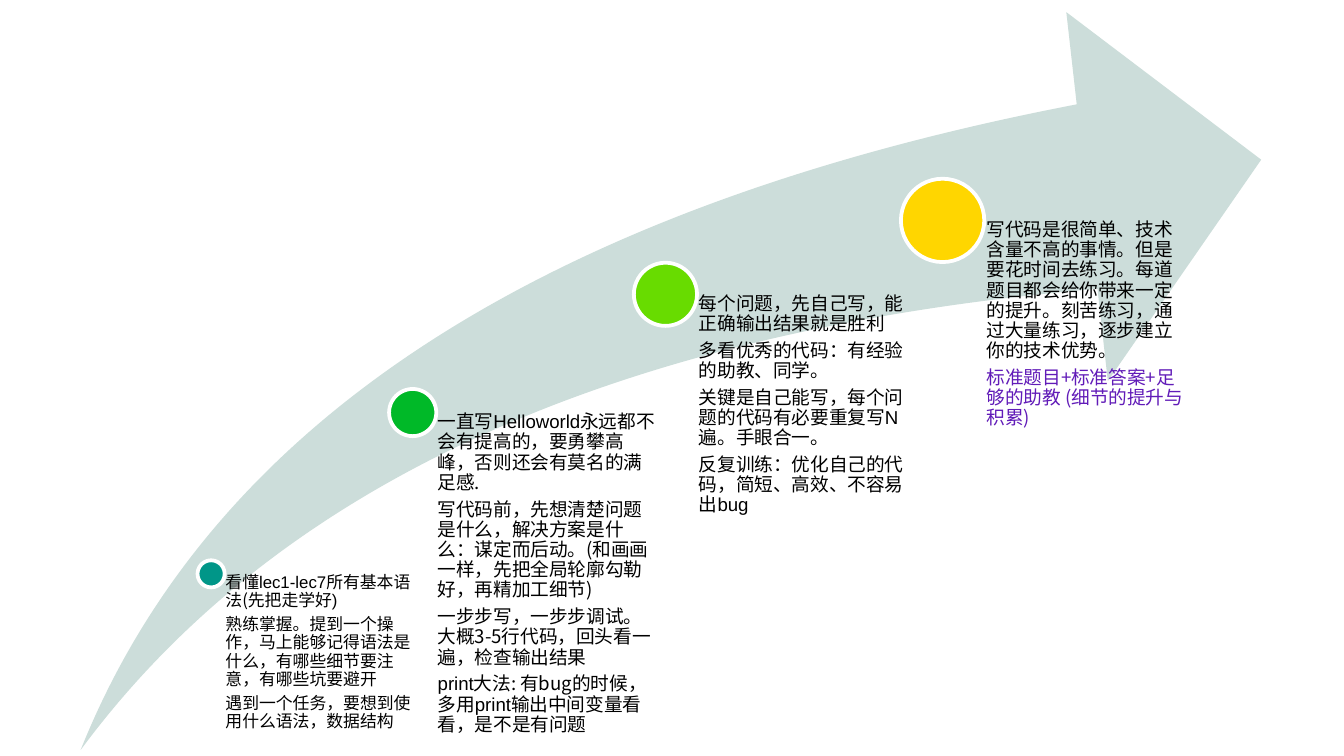
import pptx
import pptx.util
import pptx.dml.color
import pptx.enum.shapes
import pptx.enum.text
import pptx.oxml
import pptx.oxml.ns

THEME = {
    "arrow": "CCDDDA", "ring": "FFFFFF", "body": "000000", "accent": "611BB8",
    "latin": "Arial", "cjk": "Noto Sans CJK SC",
    "small": 9, "normal": 10, "ring_width": 2, "leading": 0.9, "gap": 0.35,
}
SLIDE = (10, 10 * 9 / 16)
ARROW = (0.6, 0.09, 5.49 * 1.6, 5.49)

STAGES = [
    {"centre": (11.05, 76.14), "dot": 2.3, "column": 17.08, "colour": "009688", "size": "small",
     "points": [
         ("body", [("cjk", "看懂"), ("latin", "lec1-lec7"),
                   ("cjk", "所有基本语法(先把走学好"), ("latin", ")")]),
         ("body", [("cjk", "熟练掌握。提到一个操作，马上能够记得语法是什么，有哪些细节要注意，有哪些坑要避开")]),
         ("body", [("cjk", "遇到一个任务，要想到使用什么语法，数据结构")]),
     ]},
    {"centre": (28.13, 54.28), "dot": 4, "column": 20.96, "colour": "00B928", "size": "normal",
     "points": [
         ("body", [("cjk", "一直写"), ("latin", "Helloworld"),
                   ("cjk", "永远都不会有提高的，要勇攀高峰，否则还会有莫名的满足感.")]),
         ("body", [("cjk", "写代码前，先想清楚问题是什么，解决方案是什么：谋定而后动。"
                           "(和画画一样，先把全局轮廓勾勒好，再精加工细节)")]),
         ("body", [("cjk", "一步步写，一步步调试。大概3-5行代码，回头看一遍，检查输出结果")]),
         ("body", [("latin", "print"), ("cjk", "大法: 有bug的时候，多用"),
                   ("latin", "print"), ("cjk", "输出中间变量看看，是不是有问题")]),
     ]},
    {"centre": (49.54, 38.25), "dot": 5.35, "column": 20.96, "colour": "68DC00", "size": "normal",
     "points": [
         ("body", [("cjk", "每个问题，先自己写，能正确输出结果就是胜利")]),
         ("body", [("cjk", "多看优秀的代码：有经验的助教、同学。")]),
         ("body", [("cjk", "关键是自己能写，每个问题的代码有必要重复写"), ("latin", "N"),
                   ("cjk", "遍。手眼合一。")]),
         ("body", [("cjk", "反复训练：优化自己的代码，简短、高效、不容易出"), ("latin", "bug")]),
     ]},
    {"centre": (73.01, 28.23), "dot": 7.06, "column": 20.96, "colour": "FFD600", "size": "normal",
     "points": [
         ("body", [("cjk", "写代码是很简单、技术含量不高的事情。但是要花时间去练习。"
                           "每道题目都会给你带来一定的提升。刻苦练习，通过大量练习，逐步建立你的技术优势。")]),
         ("accent", [("cjk", "标准题目+标准答案+足够的助教 (细节的提升与积累)")]),
     ]},
]


def colour(key):
    return pptx.dml.color.RGBColor.from_string(THEME.get(key, key))


def apply(target, values):
    for name, value in values.items():
        setattr(target, name, value)


def place(*box):
    return [pptx.util.Inches(length) for length in box]


def draw(slide, kind, box, fill):
    shape = slide.shapes.add_shape(kind, *place(*box))
    shape.shadow.inherit = False
    shape.fill.solid()
    shape.fill.fore_color.rgb = colour(fill)
    return shape


def write(paragraph, ink, pieces, size):
    apply(paragraph, {"line_spacing": THEME["leading"],
                      "space_after": pptx.util.Pt(size * THEME["gap"]),
                      "alignment": pptx.enum.text.PP_ALIGN.LEFT})
    paragraph._p.get_or_add_pPr().set("hangingPunct", "0")
    for face, words in pieces:
        run = paragraph.add_run()
        run.text = words
        apply(run.font, {"size": pptx.util.Pt(size), "name": THEME[face]})
        run.font.color.rgb = colour(ink)
        east_asian = pptx.oxml.parse_xml(
            f'<a:ea {pptx.oxml.ns.nsdecls("a")} typeface="{THEME["cjk"]}"/>')
        run.font._element.find(pptx.oxml.ns.qn("a:latin")).addnext(east_asian)


def add_stage(slide, stage):
    left, top, width, height = ARROW
    x = left + width * stage["centre"][0] / 100
    y = top + height * stage["centre"][1] / 100
    dot = width * stage["dot"] / 100
    milestone = draw(slide, pptx.enum.shapes.MSO_SHAPE.OVAL,
                     (x - dot / 2, y - dot / 2, dot, dot), stage["colour"])
    milestone.line.color.rgb = colour("ring")
    milestone.line.width = pptx.util.Pt(THEME["ring_width"])

    advice = slide.shapes.add_textbox(
        *place(x, y, width * stage["column"] / 100, top + height - y)).text_frame
    apply(advice, {"word_wrap": True, "margin_left": pptx.util.Inches(dot * 0.53),
                   "margin_top": 0, "margin_right": 0, "margin_bottom": 0,
                   "vertical_anchor": pptx.enum.text.MSO_ANCHOR.TOP})
    for index, (ink, pieces) in enumerate(stage["points"]):
        paragraph = advice.add_paragraph() if index else advice.paragraphs[0]
        write(paragraph, ink, pieces, THEME[stage["size"]])


def main():
    deck = pptx.Presentation()
    deck.slide_width, deck.slide_height = place(*SLIDE)
    slide = deck.slides.add_slide(deck.slide_layouts[6])
    growth = draw(slide, pptx.enum.shapes.MSO_SHAPE.SWOOSH_ARROW, ARROW, "arrow")
    growth.line.fill.background()
    for index in range(2):
        growth.adjustments[index] = 0.25
    for stage in STAGES:
        add_stage(slide, stage)
    deck.save("out.pptx")


if __name__ == "__main__":
    main()
